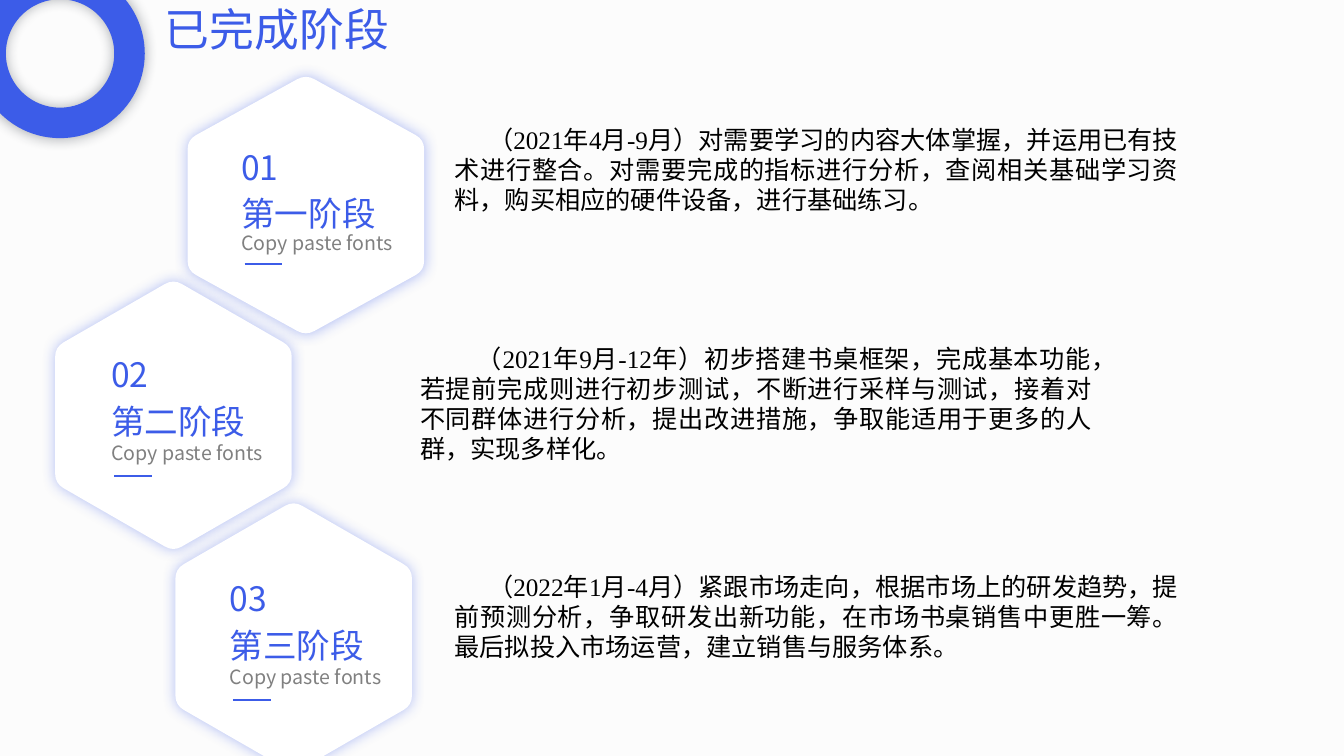
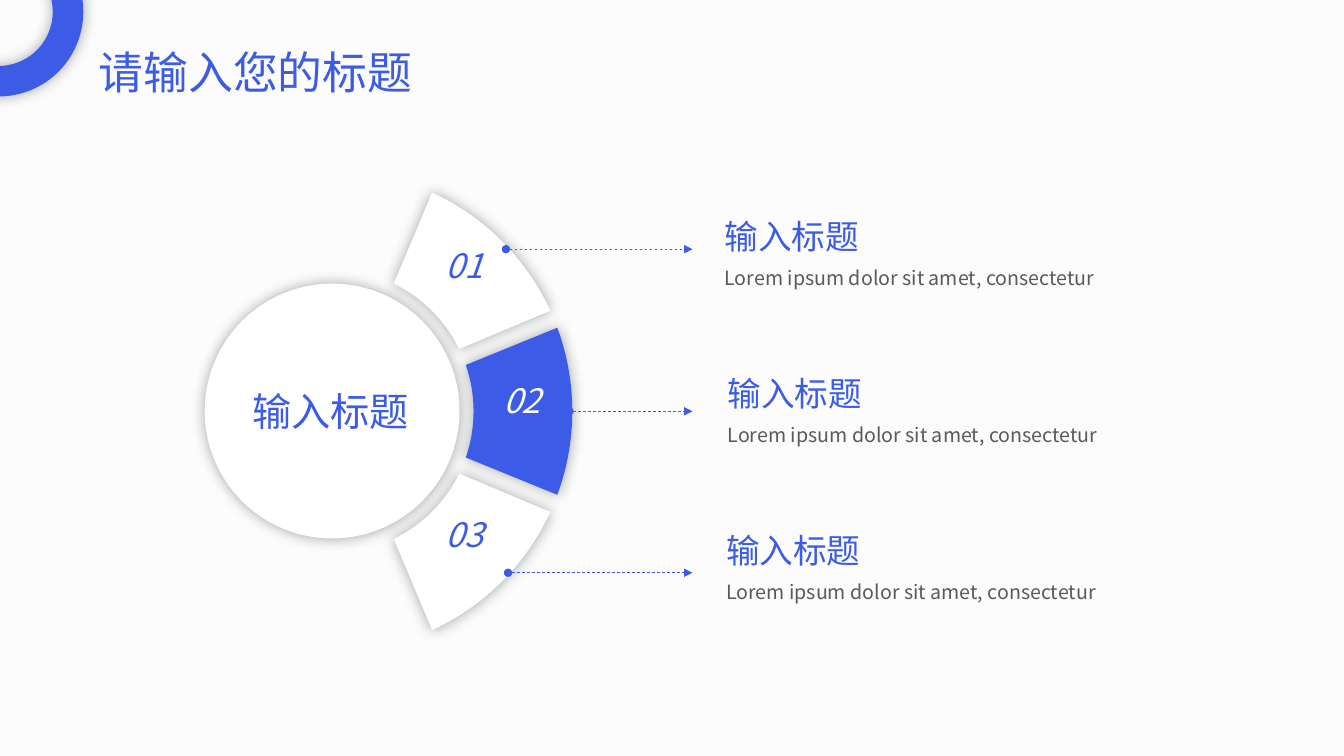
from math import cos, hypot, radians, sin

from lxml import etree
from pptx import Presentation
from pptx.dml.color import RGBColor
from pptx.enum.dml import MSO_LINE
from pptx.enum.shapes import MSO_CONNECTOR, MSO_SHAPE
from pptx.enum.text import MSO_ANCHOR, PP_ALIGN
from pptx.oxml.ns import qn
from pptx.util import Pt


def rgb(value):
    return RGBColor.from_string(value)


def middle(a, b):
    return (a[0] + b[0]) / 2, (a[1] + b[1]) / 2


def rounded(corners, cut):
    nodes = []
    for i, (x, y) in enumerate(corners):
        ends = []
        for nx, ny in (corners[i - 1], corners[(i + 1) % len(corners)]):
            k = cut / hypot(nx - x, ny - y)
            ends.append((x + (nx - x) * k, y + (ny - y) * k))
        before, after = (middle(end, (x, y)) for end in ends)
        nodes += [(ends[0], None), (middle(before, after), before), (ends[1], after)]
    return nodes


def arc(cx, cy, radius, start, end):
    def polar(r, angle):
        return cx + r * cos(radians(angle)), cy + r * sin(radians(angle))

    half = (end - start) / 4
    reach = radius / cos(radians(half))
    return [(polar(radius, start), None),
            (polar(radius, start + 2 * half), polar(reach, start + half)),
            (polar(radius, end), polar(reach, end - half))]


class Deck:
    """Holds the shared style and the slide being drawn."""

    BLUE, WHITE, BACK = "3C5CE8", "FFFFFF", "FCFCFC"
    DARK, GREY, BODY, BLACK = "222A35", "808080", "595959", "000000"
    SANS, SERIF = "Noto Sans CJK SC", "Times New Roman"
    INSETS = (7.2, 3.6)
    WIDE_INSETS = (19.4, 9.4)

    def __init__(self):
        self.prs = Presentation()
        self.prs.slide_width, self.prs.slide_height = Pt(960), Pt(540)

    def slide(self):
        self.s = self.prs.slides.add_slide(self.prs.slide_layouts[6])
        self.s.background.fill.solid()
        self.s.background.fill.fore_color.rgb = rgb(self.BACK)

    def paint(self, sp, fill, glow):
        sp.fill.solid()
        sp.fill.fore_color.rgb = rgb(fill)
        sp.line.fill.background()
        sp.shadow.inherit = False
        effects = sp._element.spPr.find(qn("a:effectLst"))
        shadow = etree.SubElement(effects, qn("a:outerShdw"), blurRad=str(Pt(10)),
                                  dist="0", algn="ctr", rotWithShape="0")
        color = etree.SubElement(shadow, qn("a:srgbClr"), val=glow)
        etree.SubElement(color, qn("a:alpha"), val="40000")

    def preset(self, kind, x, y, size, fill):
        sp = self.s.shapes.add_shape(kind, Pt(x), Pt(y), Pt(size), Pt(size))
        self.paint(sp, fill, self.DARK)
        return sp

    def outline(self, nodes, fill, glow):
        points = [(Pt(x), Pt(y)) for (x, y), _ in nodes]
        builder = self.s.shapes.build_freeform(*points[0])
        builder.add_line_segments(points[1:], close=True)
        sp = builder.convert_to_shape()
        segments = list(next(sp._element.iter(qn("a:pathLst")))[0])
        for segment, (_, control) in zip(segments, nodes):
            if control:
                x, y = control
                curve = etree.Element(qn("a:quadBezTo"))
                etree.SubElement(curve, qn("a:pt"), x=str(Pt(x) - sp.left), y=str(Pt(y) - sp.top))
                curve.append(segment[0])
                segment.getparent().replace(segment, curve)
        self.paint(sp, fill, glow)

    def hexagon(self, x, y, w, h):
        top, height = y - 1.5, h + 3
        upper, lower = top + height / 4, top + height * 3 / 4
        corners = [(x + w / 2, top), (x + w, upper), (x + w, lower),
                   (x + w / 2, top + height), (x, lower), (x, upper)]
        self.outline(rounded(corners, 7), self.WHITE, self.BLUE)

    def sector(self, cx, cy, angle, fill):
        nodes = (arc(cx, cy, 172, angle - 20.3, angle + 20.3)
                 + arc(cx, cy, 101.5, angle + 19, angle - 19))
        self.outline(nodes, fill, self.DARK)

    def line(self, x1, x2, y, width):
        line = self.s.shapes.add_connector(MSO_CONNECTOR.STRAIGHT, Pt(x1), Pt(y), Pt(x2), Pt(y))
        line.line.color.rgb = rgb(self.BLUE)
        line.line.width = Pt(width)
        etree.SubElement(line._element.spPr, qn("a:effectLst"))
        return line

    def arrow(self, x1, x2, y):
        line = self.line(x1, x2, y, 0.5).line
        line.dash_style = MSO_LINE.DASH
        ln = line._get_or_add_ln()
        etree.SubElement(ln, qn("a:headEnd"), type="oval")
        etree.SubElement(ln, qn("a:tailEnd"), type="triangle")

    def text(self, text, x, y, w, h, size, color=BLUE, font=SANS, insets=INSETS,
             anchor=MSO_ANCHOR.TOP, align=PP_ALIGN.LEFT, italic=False):
        tf = self.s.shapes.add_textbox(Pt(x), Pt(y), Pt(w), Pt(h)).text_frame
        tf.word_wrap = True
        tf.vertical_anchor = anchor
        tf.margin_left = tf.margin_right = Pt(insets[0])
        tf.margin_top = tf.margin_bottom = Pt(insets[1])
        tf.text = text
        for p in tf.paragraphs:
            p.alignment = align
            r = p.runs[0]
            r.font.size, r.font.name, r.font.italic = Pt(size), font, italic
            r.font.color.rgb = rgb(color)
            etree.SubElement(r._r.get_or_add_rPr(), qn("a:ea"), typeface=self.SANS)
        return tf.paragraphs

    def header(self, title, ring_x, ring_y, x, y):
        ring = self.preset(MSO_SHAPE.DONUT, ring_x, ring_y, 121, self.BLUE)
        ring.adjustments[0] = 0.18
        self.text(title, x, y, 332.6, 46, 32)

    def stage(self, number, title, x, y, h, label_x, label_y):
        self.hexagon(x, y, 169, h)
        k = h / 183.6
        self.text("Copy paste fonts", label_x, label_y + 59.8 * k, 140.4, 24, 14, self.GREY)
        self.text(title, label_x, label_y + 32.4 * k, 120, 35, 24)
        self.text(number, label_x, label_y, 50, 35, 24)
        self.line(label_x + 9.4, label_x + 36.4, label_y + 87.1 * k, 1.5)

    def body(self, texts, x, y, w, h, indent, gap=0):
        paragraphs = self.text("\n".join(texts), x, y, w, h, 18, self.BLACK, self.SERIF,
                               align=PP_ALIGN.JUSTIFY)
        for i, p in enumerate(paragraphs):
            p.line_spacing = Pt(21.6)
            p.space_before = Pt(gap * i)
            p.space_after = Pt(6)
            p._p.get_or_add_pPr().set("indent", str(Pt(indent)))

    def entry(self, x, y):
        self.text("输入标题", x, y, 193.7, 48.2, 24, insets=self.WIDE_INSETS,
                  anchor=MSO_ANCHOR.MIDDLE)
        p = self.text("Lorem ipsum dolor sit amet, consectetur", x, y + 27.4, 313.2, 48.2, 14,
                      self.BODY, insets=self.WIDE_INSETS)[0]
        p.line_spacing = 1.5
        p.space_before = Pt(4)

    def spoke(self, i, center, fill, color, num_x, num_y, dot_x, dot_y, entry_x):
        self.sector(*center, 45 * (i - 1), fill)
        self.arrow(dot_x, 494.6, dot_y)
        self.text(f"0{i + 1}", num_x, num_y, 55.4, 28.8, 24, color, insets=(0, 0),
                  align=PP_ALIGN.CENTER, italic=True)
        self.entry(entry_x, 144.4 + 112.3 * i)


def stages_slide(deck):
    deck.slide()
    for stage in (
        ("03", "第三阶段", 125.3, 359.3, 191.5, 157, 409),
        ("01", "第一阶段", 134, 54.7, 183.6, 165.3, 101.5),
        ("02", "第二阶段", 39.4, 200.9, 191.5, 72.3, 249.1),
    ):
        deck.stage(*stage)
    deck.body((
        "（2021年4月-9月）对需要学习的内容大体掌握，并运用已有技术进行整合。对需要完成的指标进行分析，"
        "查阅相关基础学习资料，购买相应的硬件设备，进行基础练习。",
        "（2022年1月-4月）紧跟市场走向，根据市场上的研发趋势，提前预测分析，争取研发出新功能，"
        "在市场书桌销售中更胜一筹。最后拟投入市场运营，建立销售与服务体系。",
    ), 317.5, 85, 531.4, 422.6, 24, 248.7)
    deck.body((
        "（2021年9月-12年）初步搭建书桌框架，完成基本功能，若提前完成则进行初步测试，不断进行采样与测试，"
        "接着对不同群体进行分析，提出改进措施，争取能适用于更多的人群，实现多样化。",
    ), 293, 241.4, 494, 94.3, 40.4)
    deck.header("已完成阶段", -17.6, -22.3, 110.6, -2.2)


def fan_slide(deck):
    deck.slide()
    center = (236.8, 293.8)
    deck.spoke(0, center, deck.WHITE, deck.BLUE, 303.8, 175, 361.4, 178, 498.2)
    deck.preset(MSO_SHAPE.OVAL, 146.2, 202.6, 182, deck.WHITE)
    deck.text("输入标题", 146.2, 266.8, 180, 53.3, 28, insets=deck.WIDE_INSETS,
              anchor=MSO_ANCHOR.MIDDLE, align=PP_ALIGN.CENTER)
    deck.spoke(1, center, deck.BLUE, deck.WHITE, 345.2, 271.7, 406.8, 293.8, 500.4)
    deck.spoke(2, center, deck.WHITE, deck.BLUE, 303.8, 367.2, 362.9, 409.1, 499.3)
    deck.header("请输入您的标题", -61.5, -52.1, 63.4, 28.4)


def main():
    deck = Deck()
    stages_slide(deck)
    fan_slide(deck)
    deck.prs.save("out.pptx")


if __name__ == "__main__":
    main()
